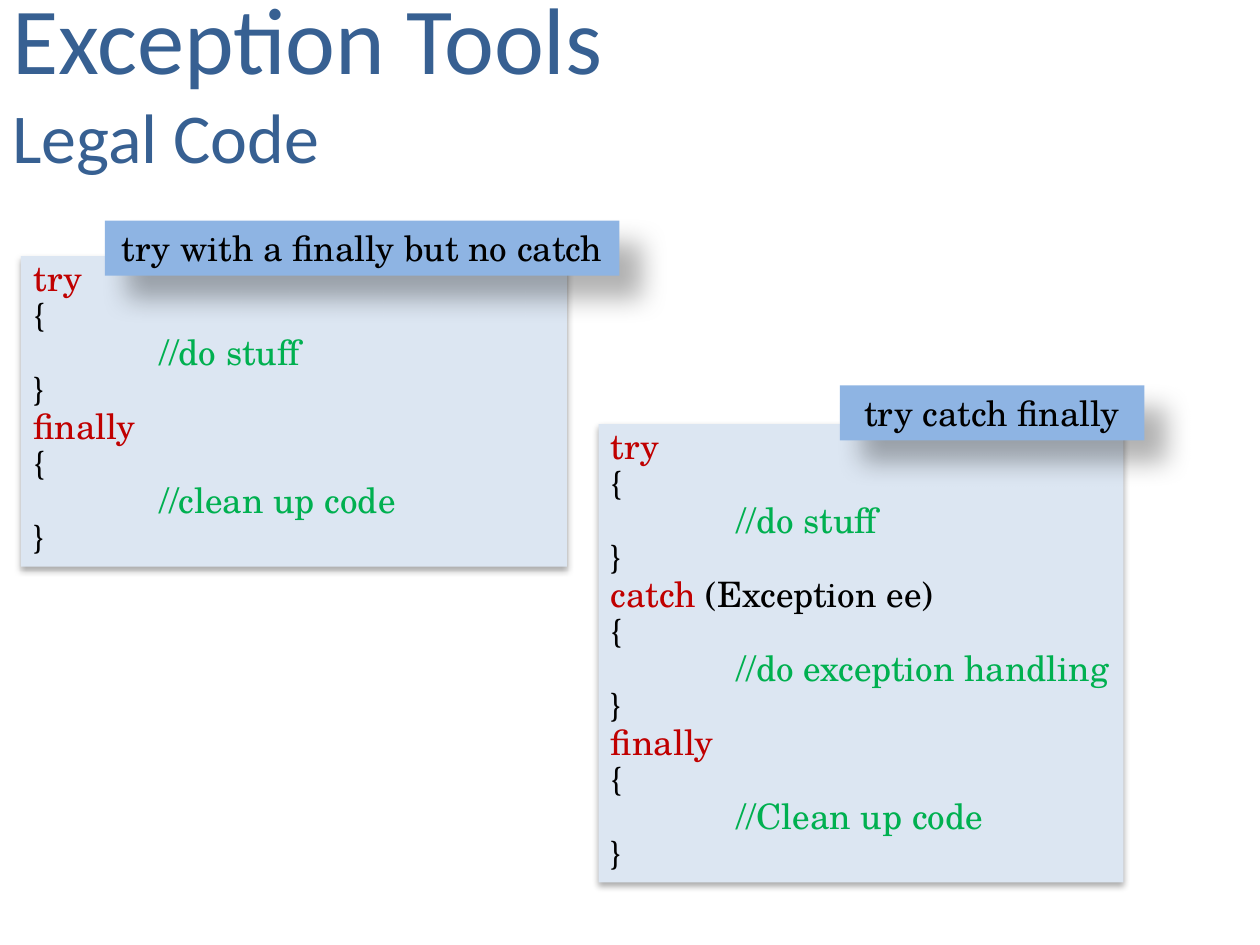
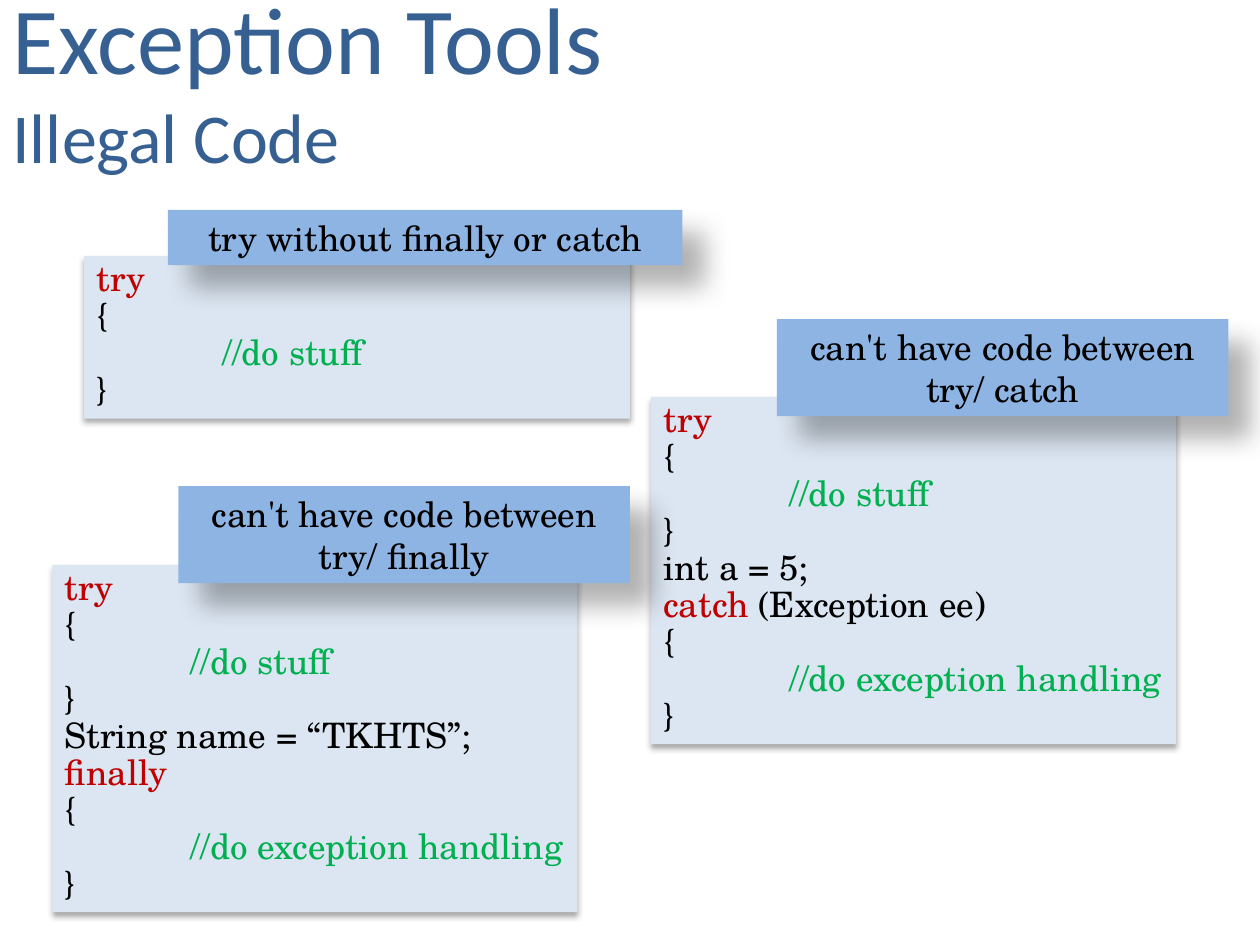
import pptx
import pptx.util
import pptx.dml.color
import pptx.enum.shapes
import pptx.enum.text
import pptx.oxml.ns
import lxml.etree

# Content: code lines, with a block written as "{" + break + tabs + comment
def block(note):
    return ["{\n\t\t//" + note, "}"]


TRY = ["try"] + block("do stuff")
CATCH = ["catch (Exception ee)"] + block("do exception handling")

# Each panel: code (col, row, cols), tag (col, row, cols), tag lines, tag text, code
SLIDES = [
    ("Legal Code", [
        ((2, 24.4, 52), (10, 21, 49), 1, "try with a finally but no catch",
         TRY + ["finally"] + block("clean up code")),
        ((57, 40.4, 50), (80, 36.7, 29), 1, "try catch finally",
         TRY + CATCH + ["finally"] + block("Clean up code")),
    ]),
    ("Illegal Code", [
        ((8, 24.4, 52), (16, 20, 49), 1, "try without finally or catch", TRY),
        ((62, 37.8, 50), (74, 30.4, 43), 2, "can't have code between try/ catch",
         TRY + ["int a = 5;"] + CATCH),
        ((5, 53.8, 50), (17, 46.3, 43), 2, "can't have code between try/ finally",
         TRY + ["String name = “TKHTS”;", "finally"] + block("do exception handling")),
    ]),
]

# Theme: colours, type and shadows (opacity %, blur, distance, angle)
THEME = {
    "title": dict(name="Calibri", size=54, color="376092"),
    "sub": dict(name="Calibri", size=40, color="376092"),
    "word": dict(name="TeX Gyre Schola", size=20, color="C00000"),
    "note": dict(name="TeX Gyre Schola", size=20, color="00B050"),
    "plain": dict(name="TeX Gyre Schola", size=20, color="000000"),
    "code": dict(fill="DCE6F2", shadow=(32, 3.5, 2.2, 90)),
    "tag": dict(fill="8EB4E3", shadow=(30, 15, 18, 45)),
}
WORDS = ("try", "catch", "finally")
Rgb = pptx.dml.color.RGBColor.from_string
Pt, Inch = pptx.util.Pt, pptx.util.Inches
Text = pptx.enum.text

deck = pptx.Presentation()
deck.slide_width, deck.slide_height = Inch(10), Inch(7.5)
CELL = deck.slide_width / 120      # square grid of 120 columns by 90 rows


def grid(*cells):
    return [round(c * CELL) for c in cells]


def put(par, text, style):
    run = par.add_run()
    run.text = text
    look = THEME[style]
    for key, val in dict(name=look["name"], size=Pt(look["size"])).items():
        setattr(run.font, key, val)
    run.font.color.rgb = Rgb(look["color"])


def child(parent, tag, **attrs):
    return lxml.etree.SubElement(parent, pptx.oxml.ns.qn("a:" + tag),
                                 {k: str(v) for k, v in attrs.items()})


def panel(group, kind, place):
    """Add a filled box with its soft shadow; return its text frame."""
    box = group.shapes.add_shape(pptx.enum.shapes.MSO_SHAPE.RECTANGLE, *grid(*place))
    look = THEME[kind]
    box.fill.solid()
    box.fill.fore_color.rgb = Rgb(look["fill"])
    box.line.fill.background()
    box.shadow.inherit = False
    alpha, blur, dist, angle = look["shadow"]
    fx = box._element.spPr.find(pptx.oxml.ns.qn("a:effectLst"))
    drop = child(fx, "outerShdw", blurRad=Pt(blur), dist=Pt(dist),
                 dir=angle * 60000, algn="tl", rotWithShape=0)
    child(child(drop, "srgbClr", val="000000"), "alpha", val=alpha * 1000)
    frame = box.text_frame
    form = dict(word_wrap=True, vertical_anchor=Text.MSO_ANCHOR.TOP,
                auto_size=Text.MSO_AUTO_SIZE.SHAPE_TO_FIT_TEXT)
    for key, val in form.items():
        setattr(frame, key, val)
    return frame


def lines(frame, items):
    """Write code, with keywords and comments coloured by rule."""
    for n, item in enumerate(items):
        par = frame.add_paragraph() if n else frame.paragraphs[0]
        par.alignment, par.line_spacing = Text.PP_ALIGN.LEFT, 0.88
        tabs = child(par._p.get_or_add_pPr(), "tabLst")
        for stop in range(8):
            child(tabs, "tab", pos=Inch(stop / 2), algn="l")
        head, brk, rest = item.partition("\n")
        first, gap, tail = head.partition(" ")
        if first in WORDS:
            put(par, first + gap, "word")
            head = tail
        if head:
            put(par, head, "plain")
        if brk:
            par.add_line_break()
            put(par, rest, "note")


for name, parts in SLIDES:
    slide = deck.slides.add_slide(deck.slide_layouts[6])
    # Title with subtitle
    frame = slide.shapes.add_textbox(*grid(0, -1, 94, 17)).text_frame
    frame.word_wrap, frame.vertical_anchor = True, Text.MSO_ANCHOR.MIDDLE
    put(frame.paragraphs[0], "Exception Tools", "title")
    put(frame.add_paragraph(), name, "sub")
    # Code panels, each grouped with its tag; heights follow the line count
    for spot, mark, rows, label, code in parts:
        group = slide.shapes.add_group_shape()
        count = len(code) + sum(c.count("\n") for c in code)
        lines(panel(group, "code", spot + (3.52 * count + 1.4,)), code)
        par = panel(group, "tag", mark + (4 * rows + 1.25,)).paragraphs[0]
        par.alignment = Text.PP_ALIGN.CENTER
        put(par, label, "plain")

deck.save("out.pptx")
